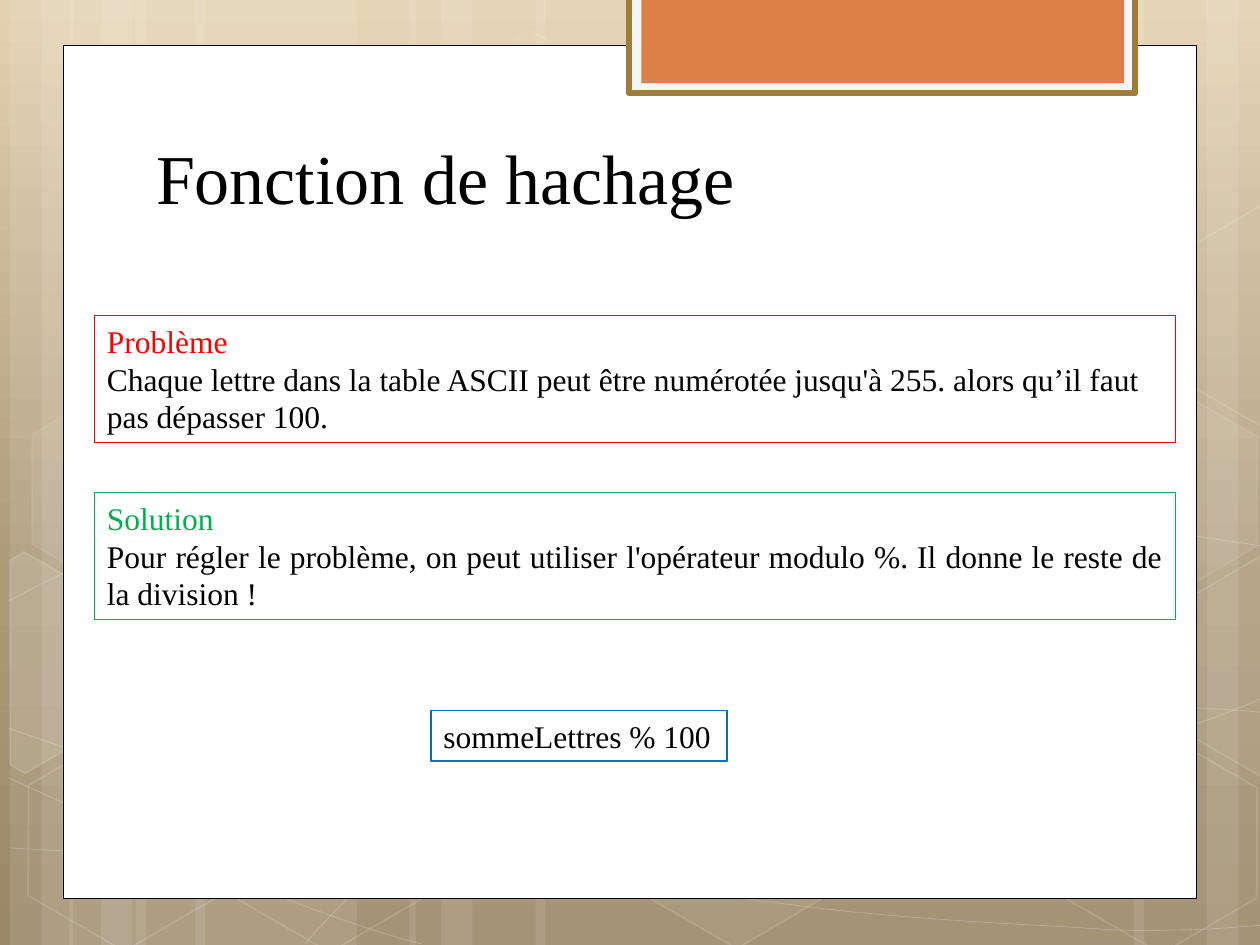
from copy import deepcopy
from lxml.etree import SubElement
from pptx import Presentation
from pptx.dml.color import RGBColor
from pptx.enum.shapes import MSO_SHAPE as SHAPE
from pptx.enum.text import MSO_ANCHOR as ANCHOR, MSO_AUTO_SIZE as AUTO, PP_ALIGN as ALIGN
from pptx.oxml.ns import qn
from pptx.util import Inches, Pt

WHITE = RGBColor(0xFF, 0xFF, 0xFF)
BLACK = RGBColor(0, 0, 0)
RED = RGBColor(0xFF, 0, 0)
GREEN = RGBColor(0, 0xB0, 0x50)
BLUE = RGBColor(0, 0x70, 0xC0)
ORANGE = RGBColor(0xDD, 0x80, 0x47)
BROWN = RGBColor(0xA1, 0x7C, 0x36)
PALE = RGBColor(0xF5, 0xF5, 0xF5)
SKY = [(0, RGBColor(0xE3, 0xD1, 0xAF)), (0.62, RGBColor(0xAB, 0x99, 0x79)),
       (1, RGBColor(0x9A, 0x88, 0x67))]
FONT = "Times New Roman"

BANDS = [(1.08, 1.75), (0.08, 0.5), (0.33, 0.83), (1.55, 1.75), (0.55, 0.5), (0.8, 0.83),
         (7.33, 1.75), (9.58, 0.5), (9, 0.83), (4.25, 3.08), (3.25, 0.5), (3.5, 0.83)]
CURVES = [
    [(0.07, 6.73), (0.61, 6.76), (1.15, 6.79), (1.9, 6.78), (2.65, 6.77), (3.58, 6.75),
     (4.58, 6.65), (5.58, 6.55), (7, 6.36), (7.92, 6.17), (8.83, 5.98), (9.77, 5.68),
     (10.07, 5.51)],
    [(0.07, 4.77), (0.36, 4.61), (0.65, 4.46), (1.21, 4.31), (1.78, 4.16), (2.59, 3.94),
     (3.47, 3.87), (4.36, 3.8), (5.44, 3.79), (6.54, 3.87), (7.64, 3.95), (9.47, 4.26),
     (10.07, 4.34)],
    [(0.06, 6.17), (1.27, 6.72), (2.47, 7.27), (3.34, 7.49)],
    [(0.07, 5.78), (0.38, 5.89), (0.7, 6), (1.28, 6.16), (1.86, 6.31), (2.73, 6.56),
     (3.57, 6.73), (4.4, 6.9), (5.45, 7.08), (6.28, 7.18), (7.11, 7.29), (8, 7.33),
     (8.53, 7.36), (9.05, 7.4), (9.19, 7.38), (9.45, 7.38), (9.71, 7.37), (9.89, 7.35),
     (10.07, 7.34)],
    [(2.42, 7.49), (2.6, 7.29), (2.78, 7.09), (3.02, 6.91), (3.26, 6.73), (3.6, 6.53),
     (3.88, 6.39), (4.16, 6.25), (4.33, 6.19), (4.7, 6.09), (5.06, 5.99), (5.73, 5.85),
     (6.08, 5.78), (6.44, 5.71), (6.49, 5.71), (6.8, 5.69), (7.11, 5.66), (7.6, 5.63),
     (7.94, 5.62), (8.29, 5.61), (8.86, 5.62), (8.86, 5.62), (8.86, 5.62), (9.53, 5.62),
     (9.53, 5.62), (9.71, 5.63), (9.88, 5.64), (9.97, 5.65), (10.06, 5.66), (10.03, 5.65),
     (10.06, 5.66)],
]
HEXAGONS = [(3.34, 0.36, 4, 8), (4.97, 5.89, 6, 12), (0.11, 5.91, 0, 12), (0.14, 3.12, 7, 8),
            (1.74, 5.92, 0, 12), (7.53, 4.53, 10, 12), (8.34, 5.93, 0, 12), (8.34, 3.14, 7, 8)]
CUT_HEXAGONS = [
    ([(0.08, 4.45), (0.19, 4.38), (0.96, 4.82), (0.95, 5.7), (0.2, 6.14), (0.08, 6.07)], 10),
    ([(9.26, 4.85), (10.01, 4.41), (10.09, 4.46), (10.09, 6.13), (10.02, 6.17), (9.26, 5.73)], 4),
    ([(9.26, 2.07), (10.01, 1.63), (10.1, 1.68), (10.09, 3.35), (10.02, 3.39), (9.26, 2.95)], 0),
]


def paint(fill, color, alpha=100):
    """Apply a solid colour with opacity in percent, or no fill at zero."""
    if not alpha:
        fill.background()
        return
    fill.solid()
    fill.fore_color.rgb = color
    if alpha < 100:
        clr = fill._xPr.find(qn("a:solidFill"))[0]
        SubElement(clr, qn("a:alpha"), val=str(alpha * 1000))


def style(sp, fill=WHITE, alpha=100, line=WHITE, width=0, line_alpha=100):
    """Set fill and outline and remove the shadow."""
    sp.shadow.inherit = False
    paint(sp.fill, fill, alpha)
    paint(sp.line.fill, line, line_alpha if width else 0)
    if width:
        sp.line.width = Pt(width)


def add_preset(s, kind, x, y, w, h, **look):
    """Add a styled preset shape."""
    sp = s.shapes.add_shape(kind, Inches(x), Inches(y), Inches(w), Inches(h))
    style(sp, **look)
    return sp


def add_outline(s, points, close, **look):
    """Add a styled freeform through points in inches."""
    pts = [(Inches(x), Inches(y)) for x, y in points]
    fb = s.shapes.build_freeform(*pts[0])
    fb.add_line_segments(pts[1:], close=close)
    sp = fb.convert_to_shape()
    style(sp, **look)
    return sp


def add_curve(s, points, **look):
    """Add a chain of cubic curves, three points to each."""
    sp = add_outline(s, points, False, **look)
    path = sp.element.find(".//" + qn("a:path"))
    segments = path.findall(qn("a:lnTo"))
    for i in range(0, len(segments), 3):
        cubic = SubElement(path, qn("a:cubicBezTo"))
        for segment in segments[i:i + 3]:
            cubic.append(segment[0])
            path.remove(segment)


def add_text(s, x, y, w, h, lines, size=18, border=None, align=ALIGN.LEFT,
             anchor=ANCHOR.TOP, wrap=True):
    """Add a text box with one paragraph per (text, colour) line."""
    sp = s.shapes.add_textbox(Inches(x), Inches(y), Inches(w), Inches(h))
    if border:
        sp.line.color.rgb = border
        sp.line.width = Pt(0.75)
    tf = sp.text_frame
    tf.word_wrap = wrap
    tf.auto_size = AUTO.SHAPE_TO_FIT_TEXT if border else AUTO.NONE
    tf.vertical_anchor = anchor
    for i, (text, color) in enumerate(lines):
        p = tf.add_paragraph() if i else tf.paragraphs[0]
        p.text = text
        p.alignment = align
        p.font.name = FONT
        p.font.size = Pt(size)
        p.font.color.rgb = color


def add_background(s):
    """Paint the vertical gradient, light bands, curves and hexagons."""
    fill = s.background.fill
    fill.gradient()
    fill.gradient_angle = 270
    stops = s.element.find(".//" + qn("a:gsLst"))
    stops.append(deepcopy(stops[-1]))
    for stop, (position, color) in zip(fill.gradient_stops, SKY):
        stop.position = position
        stop.color.rgb = color
    for x, w in BANDS:
        add_preset(s, SHAPE.RECTANGLE, x, 0, w, 7.5, alpha=10)
    for pts in CURVES:
        add_curve(s, pts, alpha=0, width=0.5, line_alpha=20)
    for x, y, alpha, line_alpha in HEXAGONS:
        sp = add_preset(s, SHAPE.HEXAGON, x, y, 1.75, 1.52, alpha=alpha, width=1,
                        line_alpha=line_alpha)
        sp.adjustments[0] = 0.285
        sp.adjustments[1] = 1.155
        sp.rotation = 30
    for pts, alpha in CUT_HEXAGONS:
        add_outline(s, pts, True, alpha=alpha, width=1, line_alpha=12)


def main():
    """Build the slide on the hash function."""
    prs = Presentation()
    prs.slide_width, prs.slide_height = Inches(10), Inches(7.5)
    s = prs.slides.add_slide(prs.slide_layouts[6])
    add_background(s)
    add_preset(s, SHAPE.RECTANGLE, 0.5, 0.36, 9, 6.77, line=BLACK, width=0.5)
    add_preset(s, SHAPE.RECTANGLE, 4.99, -0.02, 4.02, 0.76, fill=PALE, line=BROWN, width=3.35)
    add_preset(s, SHAPE.RECTANGLE, 5.09, -0.02, 3.83, 0.68, fill=ORANGE)
    add_text(s, 1.14, 0.84, 7.68, 0.94, [("Fonction de hachage", BLACK)], size=40,
             anchor=ANCHOR.BOTTOM)
    add_text(s, 0.75, 2.505, 8.58, 1.01, [
        ("Problème", RED),
        ("Chaque lettre dans la table ASCII peut être numérotée jusqu'à 255. "
         "alors qu’il faut pas dépasser 100.", BLACK)], border=RED)
    add_text(s, 0.75, 3.91, 8.58, 1.01, [
        ("Solution", GREEN),
        ("Pour régler le problème, on peut utiliser l'opérateur modulo %. "
         "Il donne le reste de la division !", BLACK)], border=GREEN, align=ALIGN.JUSTIFY)
    add_text(s, 3.42, 5.64, 2.35, 0.4, [("sommeLettres % 100", BLACK)], border=BLUE, wrap=False)
    prs.save("out.pptx")


if __name__ == "__main__":
    main()
